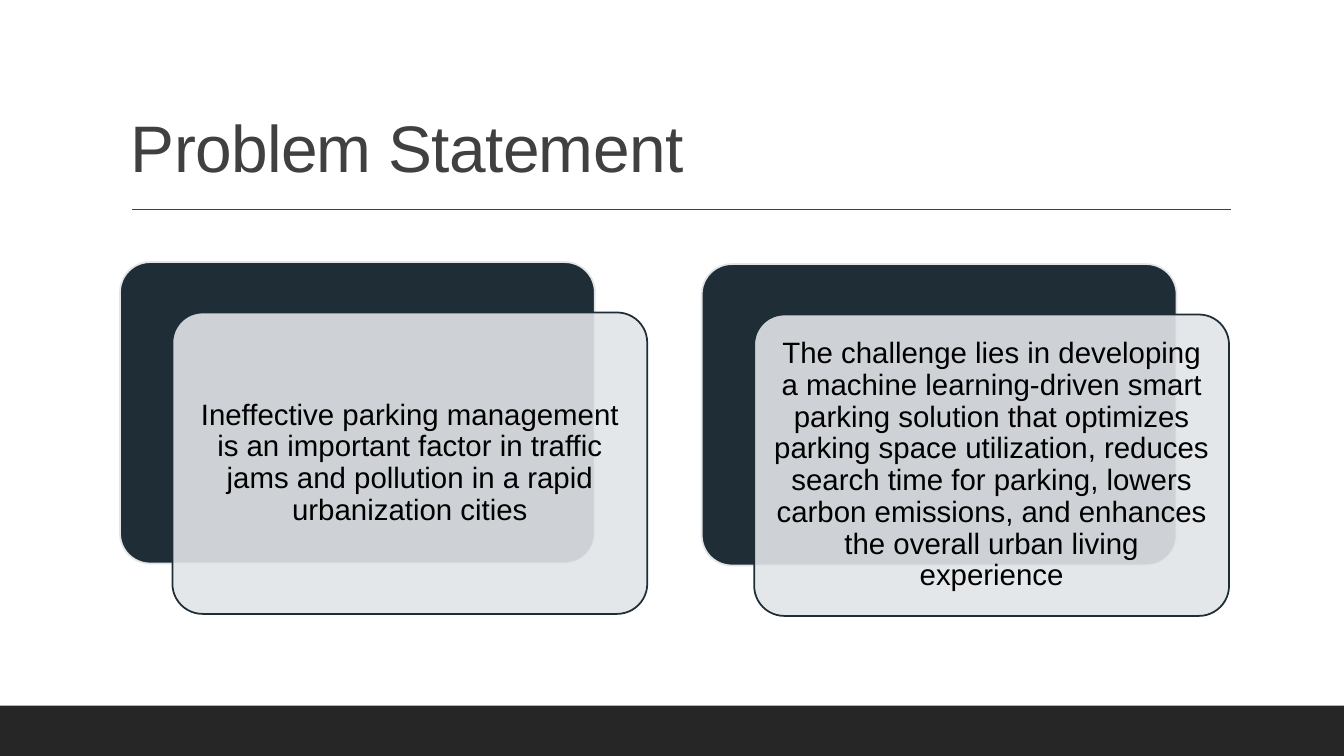
from lxml.etree import SubElement
from pptx import Presentation
from pptx.dml.color import RGBColor
from pptx.enum.shapes import MSO_CONNECTOR, MSO_SHAPE
from pptx.enum.text import MSO_ANCHOR, PP_ALIGN
from pptx.oxml.ns import qn
from pptx.util import Inches, Pt

WIDTH, HEIGHT = 13.33, 7.5
FONT = "Arial"
DARK, PALE = "1F2D36", "E2E5E8"
TITLE_GRAY, FOOTER_GRAY, BLACK = "404040", "262626", "000000"
CARD_WIDTH, CARD_HEIGHT = 4.71, 2.99
CARD_OFFSET_X, CARD_OFFSET_Y = 0.52, 0.5
CARDS_LEFT, CARDS_TOP = 1.19, 2.6
CARD_STEP_X, CARD_STEP_Y = 5.77, 0.02
STATEMENTS = [
    "Ineffective parking management is an important factor in traffic jams "
    "and pollution in a rapid urbanization cities",
    "The challenge lies in developing a machine learning-driven smart parking "
    "solution that optimizes parking space utilization, reduces search time "
    "for parking, lowers carbon emissions, and enhances the overall urban "
    "living experience",
]


def color(value):
    return RGBColor.from_string(value)


def add_box(slide, kind, left, top, width, height, fill, line=None):
    shape = slide.shapes.add_shape(
        kind, Inches(left), Inches(top), Inches(width), Inches(height))
    shape.shadow.inherit = False
    shape.fill.solid()
    shape.fill.fore_color.rgb = color(fill)
    if line:
        shape.line.color.rgb = color(line)
        shape.line.width = Pt(1.25)
    else:
        shape.line.fill.background()
    return shape


def set_opacity(shape, percent):
    fill_color = shape.fill._xPr.find(qn("a:solidFill"))[0]
    SubElement(fill_color, qn("a:alpha"), val=str(percent * 1000))


def write_text(shape, text, size, font_color, anchor, alignment):
    frame = shape.text_frame
    frame.word_wrap = True
    frame.vertical_anchor = anchor
    paragraph = frame.paragraphs[0]
    paragraph.text = text
    paragraph.alignment = alignment
    paragraph.line_spacing = 0.9
    paragraph.font.name = FONT
    paragraph.font.size = Pt(size)
    paragraph.font.color.rgb = color(font_color)
    return paragraph


def add_title(slide, left, top, width, height, text):
    """Place the title at the bottom of its box, with a rule below it."""
    box = slide.shapes.add_textbox(
        Inches(left), Inches(top), Inches(width), Inches(height))
    paragraph = write_text(
        box, text, 47, TITLE_GRAY, MSO_ANCHOR.BOTTOM, PP_ALIGN.LEFT)
    paragraph.runs[0].font._element.set("spc", "-50")
    rule_left, rule_top = left + 0.11, top + height + 0.18
    rule = slide.shapes.add_connector(
        MSO_CONNECTOR.STRAIGHT, Inches(rule_left), Inches(rule_top),
        Inches(rule_left + 10.9), Inches(rule_top))
    rule.line.color.rgb = color(TITLE_GRAY)
    rule.line.width = Pt(1)
    SubElement(rule._element.spPr, qn("a:effectLst"))


def add_statement_card(slide, left, top, text):
    """Place a dark card and, shifted down and right, a pale one with text."""
    back = add_box(slide, MSO_SHAPE.ROUNDED_RECTANGLE, left, top,
                   CARD_WIDTH, CARD_HEIGHT, DARK, PALE)
    front = add_box(slide, MSO_SHAPE.ROUNDED_RECTANGLE,
                    left + CARD_OFFSET_X, top + CARD_OFFSET_Y,
                    CARD_WIDTH, CARD_HEIGHT, PALE, DARK)
    for card in (back, front):
        card.adjustments[0] = 0.1
    set_opacity(front, 90)
    frame = front.text_frame
    frame.margin_left = frame.margin_right = Inches(0.09)
    frame.margin_top = frame.margin_bottom = Inches(0.09)
    write_text(front, text, 21, BLACK, MSO_ANCHOR.MIDDLE, PP_ALIGN.CENTER)


def add_footer_band(slide, height):
    add_box(slide, MSO_SHAPE.RECTANGLE, 0, HEIGHT - height, WIDTH, height,
            FOOTER_GRAY)


def main():
    presentation = Presentation()
    presentation.slide_width = Inches(WIDTH)
    presentation.slide_height = Inches(HEIGHT)
    slide = presentation.slides.add_slide(presentation.slide_layouts[6])
    add_footer_band(slide, 0.5)
    add_title(slide, 1.2, 0.31, 11, 1.59, "Problem Statement")
    for index, statement in enumerate(STATEMENTS):
        add_statement_card(slide, CARDS_LEFT + index * CARD_STEP_X,
                           CARDS_TOP + index * CARD_STEP_Y, statement)
    presentation.save("out.pptx")


if __name__ == "__main__":
    main()
